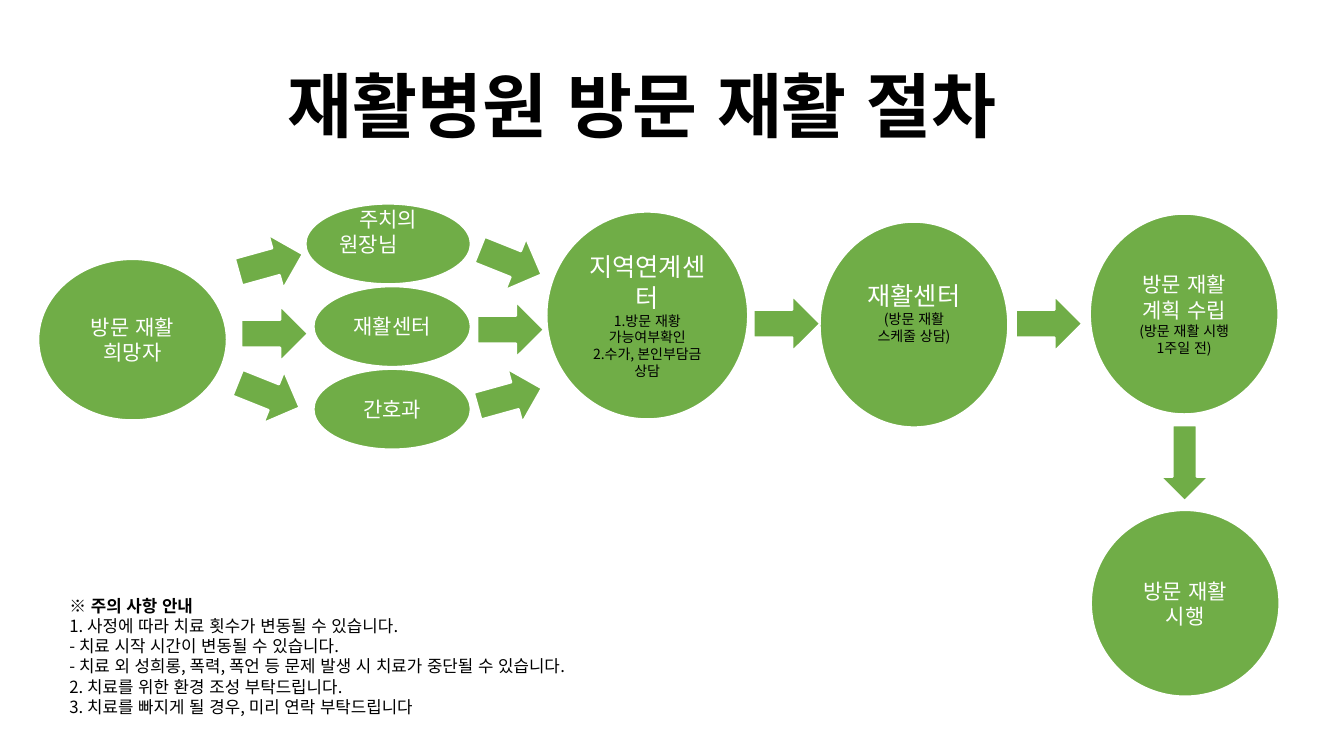
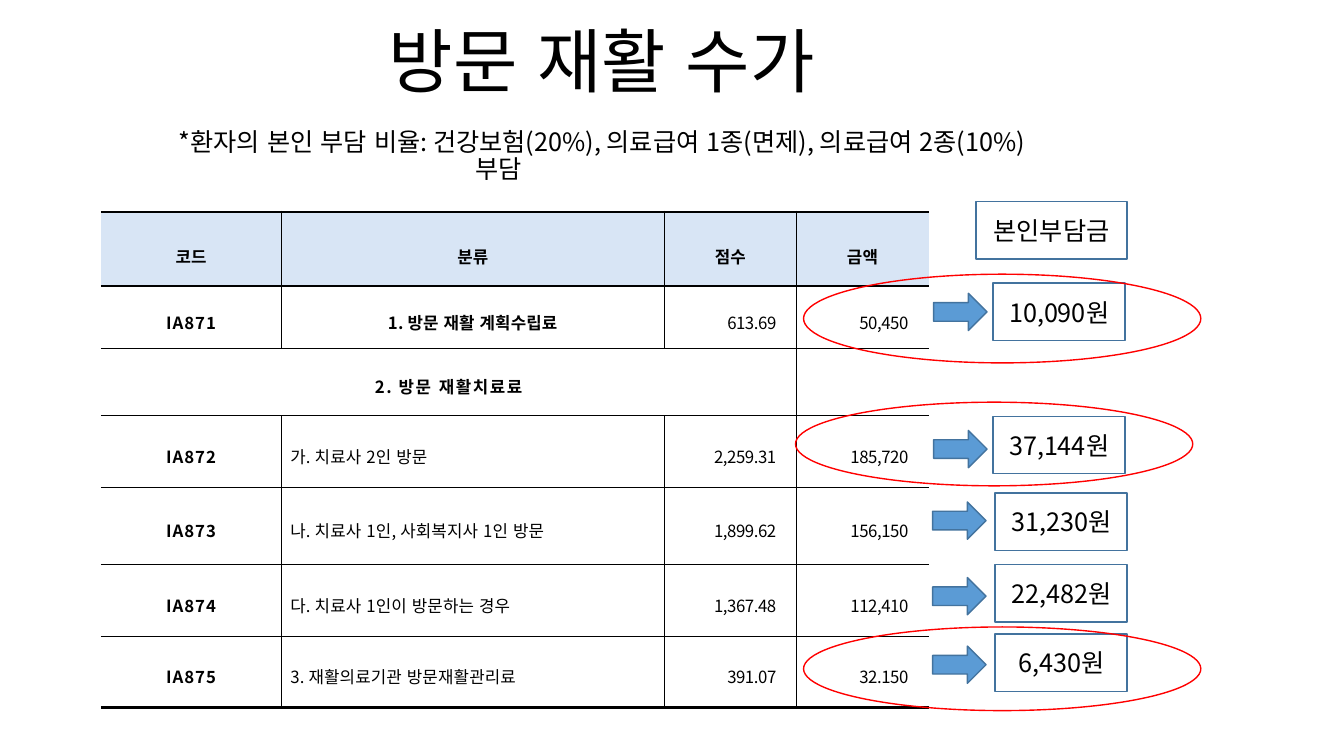
from lxml.etree import SubElement
from pptx import Presentation
from pptx.dml.color import RGBColor
from pptx.enum.lang import MSO_LANGUAGE_ID as Lang
from pptx.enum.shapes import MSO_SHAPE as Form
from pptx.enum.text import MSO_ANCHOR as Anchor, MSO_AUTO_SIZE as Fit, PP_ALIGN as Align
from pptx.oxml.ns import qn
from pptx.util import Inches, Pt

FONT = "Noto Sans CJK KR"
HUES = {"black": "000000", "white": "FFFFFF", "green": "70AD47", "blue": "5B9BD5",
        "navy": "43739E", "red": "FF0000", "head": "D8E5F5"}
RGB = {name: RGBColor.from_string(hue) for name, hue in HUES.items()}


def write(para, text, size, hue="black", bold=False, align=Align.CENTER, gap=None):
    """Add a run to a paragraph, in the deck's font for Latin and Korean."""
    para.alignment = align
    run = para.add_run()
    run.text = text
    look = {"name": FONT, "size": Pt(size), "bold": bold, "language_id": Lang.KOREAN}
    for key, value in look.items():
        setattr(run.font, key, value)
    run.font.color.rgb = RGB[hue]
    props = run.font._element
    SubElement(props, qn("a:ea"), typeface=FONT)
    if gap is not None:
        props.set("spc", str(round(gap * 100)))


def draw(slide, form, box, fill, line, width):
    shape = slide.shapes.add_shape(form, *map(Inches, box))
    shape.shadow.inherit = False
    if fill:
        shape.fill.solid()
        shape.fill.fore_color.rgb = RGB[fill]
    else:
        shape.fill.background()
    shape.line.color.rgb = RGB[line]
    shape.line.width = Pt(width)
    shape.text_frame.vertical_anchor = Anchor.MIDDLE
    return shape


deck = Presentation()
deck.slide_width, deck.slide_height = Inches(13.33), Inches(7.5)

# Titles
TITLES = [("재활병원 방문 재활 절차", 1.37, 0.35, 50.4, True),
          ("방문 재활 수가", 0.97, -0.1, 50, False)]
slides = []
for text, left, top, size, bold in TITLES:
    slide = deck.slides.add_slide(deck.slide_layouts[5])
    title = slide.shapes.title
    spot = {"left": left, "top": top, "width": 10, "height": 1.17}
    for key, value in spot.items():
        setattr(title, key, Inches(value))
    frame = title.text_frame
    frame.auto_size = Fit.NONE
    frame.vertical_anchor = Anchor.BOTTOM
    para = frame.paragraphs[0]
    para.line_spacing = 0.9
    write(para, text, size, bold=bold)
    slides.append(slide)
flow, fees = slides

# Slide 1: steps of the procedure; foot is extra room under the text
L, C = Align.LEFT, Align.CENTER
STEPS = [
    ((0.38, 2.57, 1.87, 1.6), 0, [("방문 재활 희망자", 15, "white", C)]),
    ((3.03, 2.02, 1.64, 0.8), 0.25, [("주치의", 15, "white", C), ("원장님", 15, "white", L)]),
    ((3.11, 2.84, 1.56, 0.8), 0, [("재활센터", 15, "white", C)]),
    ((3.11, 3.66, 1.56, 0.8), 0, [("간호과", 15, "white", C)]),
    ((5.42, 2.1, 2, 2.06), 0, [("지역연계센터", 18, "white", C),
                               ("1.방문 재황 가능여부확인", 10, "black", C),
                               ("2.수가, 본인부담금 상담", 10, "black", C)]),
    ((8.13, 2.2, 1.87, 2.04), 0.25, [("재활센터", 18, "white", C),
                                     ("(방문 재활", 10, "black", C),
                                     ("스케줄 상담)", 10, "black", C)]),
    ((10.81, 2.12, 1.87, 1.99), 0, [("방문 재활 계획 수립", 15, "white", C),
                                    ("(방문 재활 시행", 10, "black", C),
                                    ("1주일 전)", 10, "black", C)]),
    ((10.82, 5.06, 1.87, 1.85), 0, [("방문 재활 시행", 15, "white", C)]),
]
for box, foot, lines in STEPS:
    frame = draw(flow, Form.OVAL, box, "green", "white", 1.5).text_frame
    frame.margin_bottom = Inches(0.05 + foot)
    for i, (text, size, hue, align) in enumerate(lines):
        para = frame.add_paragraph() if i else frame.paragraphs[0]
        write(para, text, size, hue, align=align)

EAST, RISE, FALL = 270, 254.5, 291.8
ARROWS = [(2.45, 2.98, EAST), (2.41, 2.28, RISE), (2.39, 3.59, FALL),
          (4.79, 2.27, FALL), (4.78, 3.61, RISE), (4.79, 2.94, EAST),
          (7.53, 2.88, EAST), (10.13, 2.88, EAST)]
for left, top, turn in ARROWS:
    arrow = draw(flow, Form.DOWN_ARROW, (left, top, 0.55, 0.66), "green", "white", 1.5)
    arrow.rotation = turn
draw(flow, Form.DOWN_ARROW, (11.51, 4.22, 0.48, 0.75), "green", "white", 1.5)

NOTES = ["※ 주의 사항 안내",
         "1. 사정에 따라 치료 횟수가 변동될 수 있습니다.",
         "- 치료 시작 시간이 변동될 수 있습니다.",
         "- 치료 외 성희롱, 폭력, 폭언 등 문제 발생 시 치료가 중단될 수 있습니다.",
         "2. 치료를 위한 환경 조성 부탁드립니다.",
         "3. 치료를 빠지게 될 경우, 미리 연락 부탁드립니다"]
frame = flow.shapes.add_textbox(*map(Inches, (0.59, 5.86, 6.18, 1.32))).text_frame
frame.word_wrap = True
for i, text in enumerate(NOTES):
    para = frame.add_paragraph() if i else frame.paragraphs[0]
    write(para, text, 12, bold=i == 0, align=L)

# Slide 2: share paid by the patient
frame = fees.shapes.add_textbox(*map(Inches, (0.97, 1.24, 10, 0.75))).text_frame
frame.word_wrap = True
first, last = frame.paragraphs[0], frame.add_paragraph()
last._p.get_or_add_pPr().set("marL", str(Inches(3.65)))
write(first, "*환자의 본인 부담 비율: 건강보험(20%), 의료급여 1종(면제), 의료급여 2종(10%)", 18)
write(last, "부담", 18, align=L)
first.line_spacing = last.line_spacing = 0.9

# Fee table
ROWS = [("코드", "분류", "점수", "금액"),
        ("IA871", "1. 방문 재활 계획수립료", "613.69", "50,450"),
        ("2. 방문 재활치료료", "", "", ""),
        ("IA872", "가. 치료사 2인 방문", "2,259.31", "185,720"),
        ("IA873", "나. 치료사 1인, 사회복지사 1인 방문", "1,899.62", "156,150"),
        ("IA874", "다. 치료사 1인이 방문하는 경우", "1,367.48", "112,410"),
        ("IA875", "3. 재활의료기관 방문재활관리료", "391.07", "32.150")]
WIDTHS = [1.79, 3.8, 1.31, 1.31]
HEIGHTS = [0.74, 0.61, 0.67, 0.71, 0.77, 0.71, 0.71]
THIN = 0.28
RULES = [1.7, 1.98] + [THIN] * 5 + [1.7]
SPAN = 2
GAPS = [0.7, 0.1, -0.3, -0.3]

table = fees.shapes.add_table(len(ROWS), len(WIDTHS), *map(Inches, (1, 2.1, 8.21, 4.92))).table
table.first_row = table.horz_banding = False
style = table._tbl.tblPr.find(qn("a:tableStyleId"))
style.text = "{2D5ABB26-0587-4C30-8999-92F81FD0307C}"
for col, width in zip(table.columns, WIDTHS):
    col.width = Inches(width)
for row, height in zip(table.rows, HEIGHTS):
    row.height = Inches(height)
table.cell(SPAN, 0).merge(table.cell(SPAN, 2))

for r, row in enumerate(ROWS):
    for c, text in enumerate(row):
        cell = table.cell(r, c)
        joined = r == SPAN and c < 3
        edges = {"lnL": THIN if c and not joined else 0,
                 "lnR": THIN if c < 3 and not (joined and c == 1) else 0,
                 "lnT": RULES[r], "lnB": RULES[r + 1]}
        props = cell._tc.get_or_add_tcPr()
        for tag, width in edges.items():
            edge = SubElement(props, qn("a:" + tag), w=str(Pt(width)))
            if width:
                paint = SubElement(edge, qn("a:solidFill"))
                SubElement(paint, qn("a:srgbClr"), val=HUES["black"])
            else:
                SubElement(edge, qn("a:noFill"))
        if r == 0:
            cell.fill.solid()
            cell.fill.fore_color.rgb = RGB["head"]
        else:
            cell.fill.background()
        digits = r > 0 and c > 1
        item = r > SPAN and c == 1
        pads = {"left": 0.09 if item else 0.02, "right": 0.2 if digits else 0.02,
                "top": 0.02, "bottom": 0.02}
        for side, pad in pads.items():
            setattr(cell, "margin_" + side, Inches(pad))
        cell.vertical_anchor = Anchor.MIDDLE
        if text:
            para = cell.text_frame.paragraphs[0]
            para.line_spacing = 1.4 if r else 1.6
            gap = 0.1 if r == 0 else 1.1 if joined else GAPS[c]
            align = Align.RIGHT if digits else L if item else C
            write(para, text, 12, bold=not (digits or item), align=align, gap=gap)

# Amounts beside the table
LABELS = [("본인부담금", 9.68, 2, 1.5), ("10,090원", 9.85, 2.81, 1.31),
          ("37,144원", 9.85, 4.13, 1.31), ("31,230원", 9.87, 4.89, 1.31),
          ("22,482원", 9.87, 5.6, 1.31), ("6,430원", 9.87, 6.29, 1.31)]
for text, left, top, width in LABELS:
    label = draw(fees, Form.RECTANGLE, (left, top, width, 0.57), None, "navy", 1)
    write(label.text_frame.paragraphs[0], text, 18)
for left, top in [(9.26, 2.91), (9.26, 4.27), (9.25, 4.98), (9.25, 5.73), (9.25, 6.41)]:
    draw(fees, Form.RIGHT_ARROW, (left, top, 0.53, 0.37), "blue", "navy", 1)
for left, top, height in [(7.97, 2.72, 0.88), (7.89, 3.99, 0.83), (7.97, 6.22, 0.83)]:
    draw(fees, Form.OVAL, (left, top, 3.94, height), None, "red", 1)

deck.save("out.pptx")
